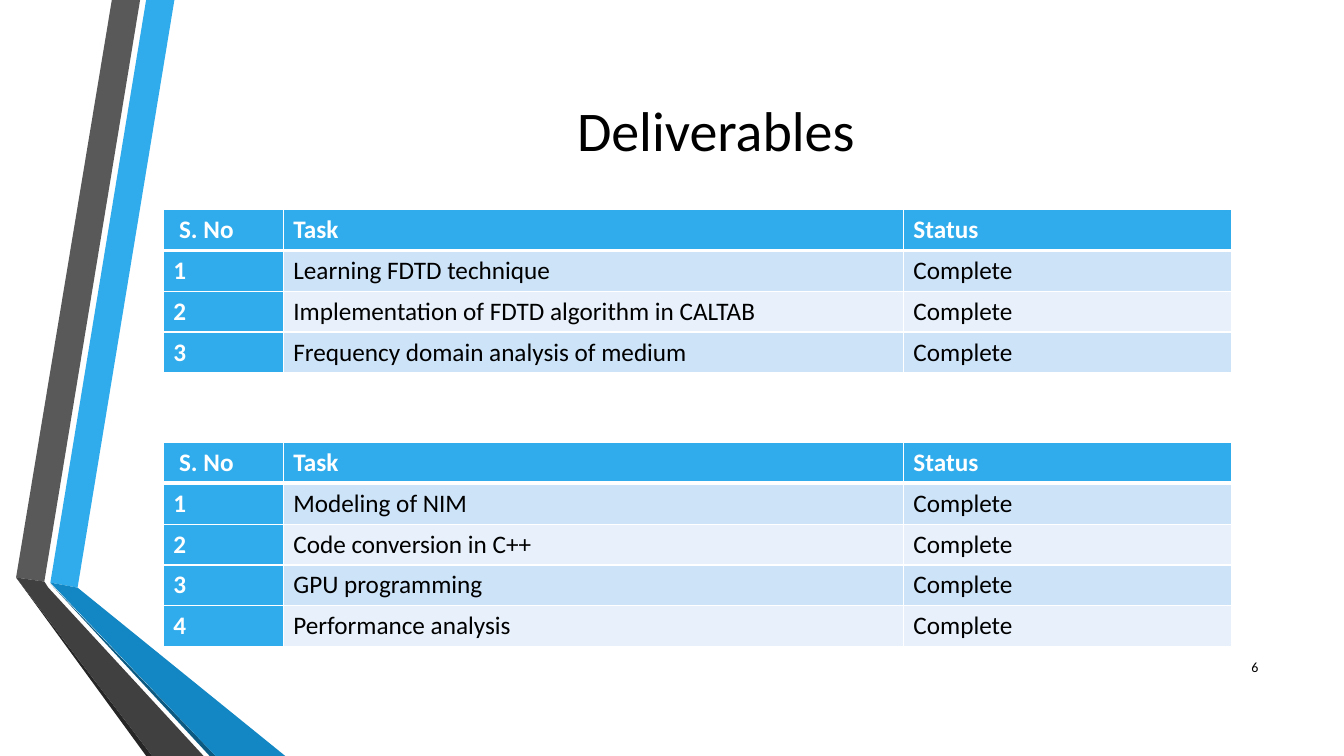
from lxml.etree import SubElement
from pptx import Presentation
from pptx.dml.color import RGBColor
from pptx.enum.text import MSO_ANCHOR, PP_ALIGN
from pptx.oxml.ns import qn
from pptx.util import Inches, Pt

HUES = {
    "blue": "30ACEC", "deep": "1287C3", "navy": "0C5A82",
    "grey": "595959", "dark": "404040", "coal": "262626",
    "band": "CDE3F8", "pale": "E8F1FB", "white": "FFFFFF", "black": "000000",
}
BANDS = [
    ("blue", [(0.5, 5.78), (0.77, 5.83), (1.73, 0), (1.45, 0)]),
    ("grey", [(1.39, 0), (1.11, 0), (0.16, 5.73), (0.44, 5.77)]),
    ("coal", [(0.16, 5.73), (1.45, 7.5), (1.51, 7.5)]),
    ("navy", [(0.5, 5.79), (2.08, 7.5), (2.14, 7.5)]),
    ("deep", [(0.5, 5.78), (2.14, 7.5), (2.83, 7.5), (0.77, 5.83)]),
    ("dark", [(2.02, 7.5), (0.48, 5.83), (0.44, 5.77), (0.16, 5.73), (1.51, 7.5)]),
]
HEAD = [" S. No", "Task", "Status"]
COLS = [1.19, 6.15, 3.26]
ROW = 1.62 / 4
TASKS = [
    (2.08, ["Learning FDTD technique",
            "Implementation of FDTD algorithm in CALTAB",
            "Frequency domain analysis of medium"]),
    (4.39, ["Modeling of NIM", "Code conversion in C++",
            "GPU programming", "Performance analysis"]),
]


def color(name):
    """Return the named colour."""
    return RGBColor.from_string(HUES[name])


def style(frame, size, hue, bold=False):
    """Format every run of a text frame."""
    for para in frame.paragraphs:
        for run in para.runs:
            run.font.name = "Calibri"
            run.font.size = Pt(size)
            run.font.bold = bold
            run.font.color.rgb = color(hue)


def add_band(slide, hue, points):
    """Draw one filled outline of the side ribbon."""
    spots = [(Inches(x), Inches(y)) for x, y in points]
    pen = slide.shapes.build_freeform(*spots[0])
    pen.add_line_segments(spots[1:], close=True)
    band = pen.convert_to_shape()
    band.shadow.inherit = False
    band.fill.solid()
    band.fill.fore_color.rgb = color(hue)
    band.line.fill.background()


def add_text(slide, text, box, size, align):
    """Add a middle-anchored line of text."""
    frame = slide.shapes.add_textbox(*map(Inches, box)).text_frame
    frame.word_wrap = True
    frame.vertical_anchor = MSO_ANCHOR.MIDDLE
    frame.text = text
    frame.paragraphs[0].alignment = align
    style(frame, size, "black")


def add_edges(cell, top, base):
    """Give a cell white borders, with its own top and base widths."""
    props = cell._tc.get_or_add_tcPr()
    for side, width in (("L", 1), ("R", 1), ("T", top), ("B", base)):
        line = SubElement(props, qn(f"a:ln{side}"), w=str(Pt(width)))
        fill = SubElement(line, qn("a:solidFill"))
        SubElement(fill, qn("a:srgbClr"), val=HUES["white"])


def add_tasks(slide, top, tasks):
    """Add a numbered table of finished tasks."""
    rows = [HEAD] + [[str(n), task, "Complete"] for n, task in enumerate(tasks, 1)]
    box = map(Inches, (1.62, top, sum(COLS), ROW * len(rows)))
    table = slide.shapes.add_table(len(rows), len(COLS), *box).table
    for col, width in zip(table.columns, COLS):
        col.width = Inches(width)
    for r, row in enumerate(rows):
        table.rows[r].height = Inches(ROW)
        for c, text in enumerate(row):
            cell = table.cell(r, c)
            strong = r == 0 or c == 0
            cell.text_frame.text = text
            style(cell.text_frame, 18, "white" if strong else "black", strong)
            add_edges(cell, 3 if r == 1 else 1, 3 if r == 0 else 1)
            cell.fill.solid()
            hue = "blue" if strong else "band" if r % 2 else "pale"
            cell.fill.fore_color.rgb = color(hue)


def main():
    """Build the deliverables slide."""
    deck = Presentation()
    deck.slide_width, deck.slide_height = Inches(13.33), Inches(7.5)
    slide = deck.slides.add_slide(deck.slide_layouts[6])
    for hue, points in BANDS:
        add_band(slide, hue, points)
    add_text(slide, "Deliverables", (1.62, 0.75, 10.96, 1.06), 40, PP_ALIGN.CENTER)
    for top, tasks in TASKS:
        add_tasks(slide, top, tasks)
    add_text(slide, "6", (11.98, 6.42, 0.6, 0.4), 10, PP_ALIGN.RIGHT)
    deck.save("out.pptx")


if __name__ == "__main__":
    main()
